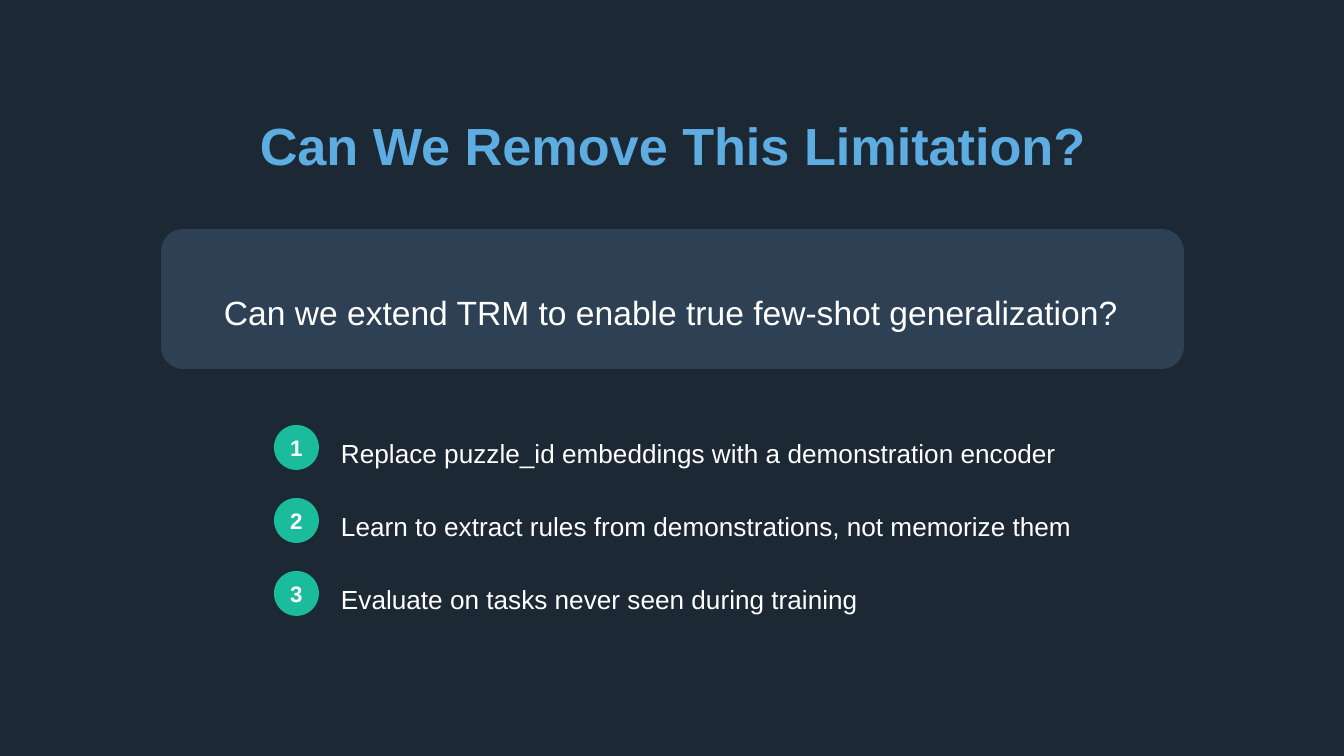
import pptx
import pptx.dml.color
import pptx.enum.shapes
import pptx.enum.text
import pptx.util

RGBColor = pptx.dml.color.RGBColor
NAVY = RGBColor(0x1C, 0x28, 0x33)
SLATE = RGBColor(0x2E, 0x40, 0x53)
SKY = RGBColor(0x5D, 0xAD, 0xE2)
TEAL = RGBColor(0x1A, 0xBC, 0x9C)
WHITE = RGBColor(0xFF, 0xFF, 0xFF)

LEFT = pptx.enum.text.PP_ALIGN.LEFT
CENTER = pptx.enum.text.PP_ALIGN.CENTER
TOP = pptx.enum.text.MSO_ANCHOR.TOP
MIDDLE = pptx.enum.text.MSO_ANCHOR.MIDDLE

SLIDE_WIDTH, SLIDE_HEIGHT = 1344, 756
EMU_PER_PX = pptx.util.Inches(10) / SLIDE_WIDTH

TITLE = {"size": pptx.util.Pt(28), "bold": True}
QUESTION = {"size": pptx.util.Pt(18)}
NUMBER = {"size": pptx.util.Pt(12), "bold": True}
STEP = {"size": pptx.util.Pt(14)}

STEPS = [
    "Replace puzzle_id embeddings with a demonstration encoder",
    "Learn to extract rules from demonstrations, not memorize them",
    "Evaluate on tasks never seen during training",
]
FIRST_STEP_TOP, STEP_PITCH, BADGE_SIZE = 425, 73, 45


def px(*lengths):
    """Turn whole pixels into EMU lengths."""
    return [pptx.util.Emu(round(length * EMU_PER_PX)) for length in lengths]


def write_text(shape, text, font_format, color=WHITE, alignment=CENTER, anchor=TOP, line_spacing=None):
    """Write one formatted paragraph into a shape without insets."""
    frame = shape.text_frame
    frame_format = {"word_wrap": True, "vertical_anchor": anchor}
    frame_format.update(dict.fromkeys(("margin_left", "margin_top", "margin_right", "margin_bottom"), 0))
    for name, value in frame_format.items():
        setattr(frame, name, value)
    paragraph = frame.paragraphs[0]
    paragraph.alignment = alignment
    paragraph.line_spacing = line_spacing
    run = paragraph.add_run()
    run.text = text
    for name, value in {"name": "Arial", **font_format}.items():
        setattr(run.font, name, value)
    run.font.color.rgb = color


def add_text(slide, box, text, font_format, **text_format):
    """Add a text box with one paragraph."""
    write_text(slide.shapes.add_textbox(*px(*box)), text, font_format, **text_format)


def add_rounded_box(slide, box, color, rounding):
    """Add a filled rounded rectangle without outline or shadow."""
    kind = pptx.enum.shapes.MSO_SHAPE.ROUNDED_RECTANGLE
    shape = slide.shapes.add_shape(kind, *px(*box))
    shape.adjustments[0] = rounding
    shape.shadow.inherit = False
    shape.fill.solid()
    shape.fill.fore_color.rgb = color
    shape.line.fill.background()
    return shape


def add_step(slide, number, text):
    """Add a numbered badge and its step text."""
    top = FIRST_STEP_TOP + (number - 1) * STEP_PITCH
    badge = add_rounded_box(slide, (274, top, BADGE_SIZE, BADGE_SIZE), TEAL, 0.5)
    write_text(badge, str(number), NUMBER, anchor=MIDDLE)
    add_text(slide, (341, top, 760, 36), text, STEP, alignment=LEFT, line_spacing=1.4)


def main():
    """Build and save the slide."""
    presentation = pptx.Presentation()
    presentation.slide_width, presentation.slide_height = px(SLIDE_WIDTH, SLIDE_HEIGHT)
    slide = presentation.slides.add_slide(presentation.slide_layouts[6])
    slide.background.fill.solid()
    slide.background.fill.fore_color.rgb = NAVY

    add_text(slide, (151, 113, 1043, 60), "Can We Remove This Limitation?", TITLE, color=SKY)
    add_rounded_box(slide, (161, 229, 1023, 140), SLATE, 0.16)
    question = "Can we extend TRM to enable true few-shot generalization?"
    add_text(slide, (216, 276, 910, 47), question, QUESTION, line_spacing=1.4)
    for number, text in enumerate(STEPS, 1):
        add_step(slide, number, text)

    presentation.save("out.pptx")


if __name__ == "__main__":
    main()
